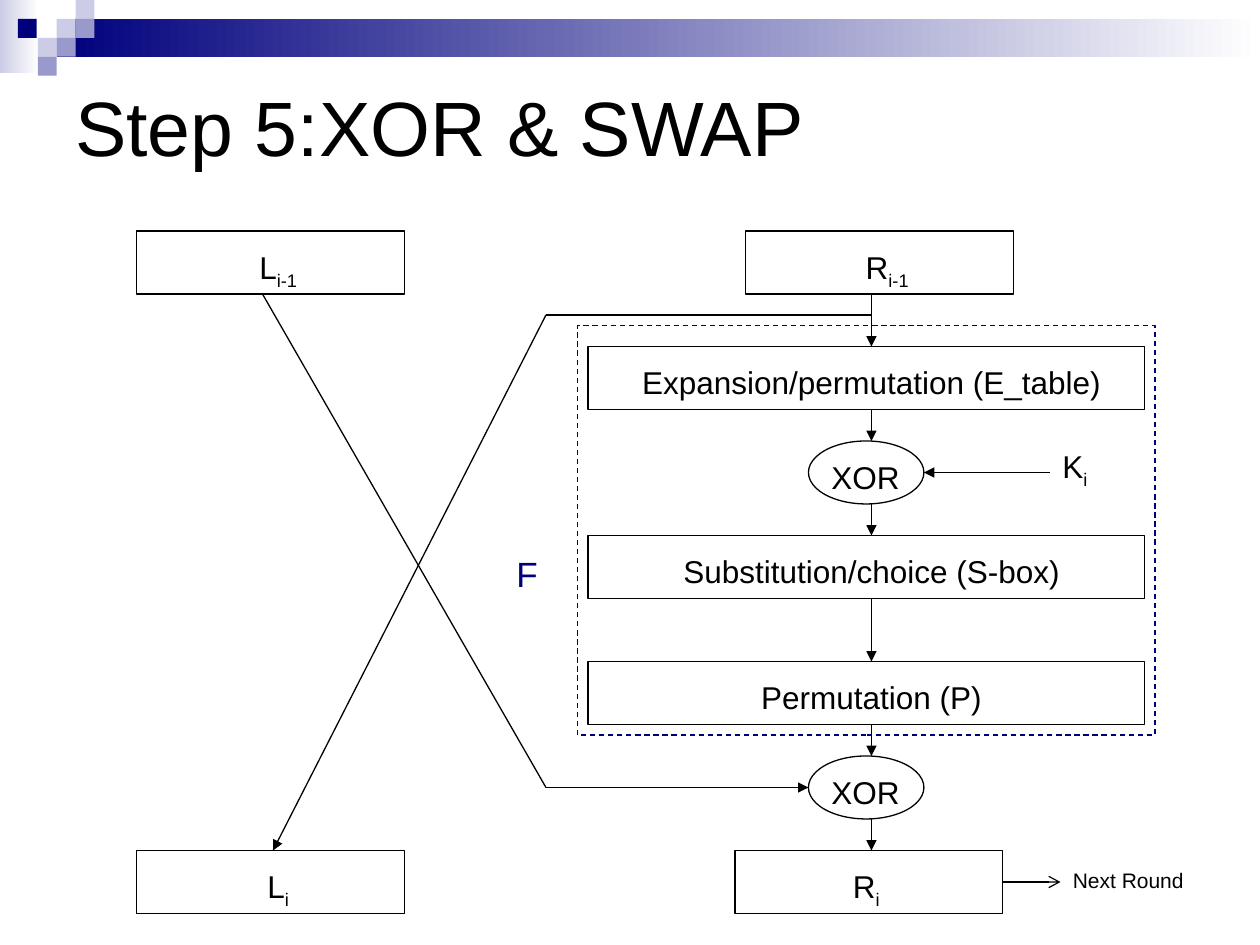
from lxml.etree import SubElement
from pptx import Presentation
from pptx.dml.color import RGBColor
from pptx.enum.dml import MSO_LINE
from pptx.enum.shapes import MSO_CONNECTOR, MSO_SHAPE
from pptx.enum.text import MSO_ANCHOR, MSO_AUTO_SIZE, PP_ALIGN
from pptx.oxml.ns import qn
from pptx.util import Emu, Pt

BLACK = RGBColor(0x00, 0x00, 0x00)
WHITE = RGBColor(0xFF, 0xFF, 0xFF)
NAVY = RGBColor(0x00, 0x00, 0x7D)
LAVENDER = RGBColor(0xCC, 0xCC, 0xE6)
PERIWINKLE = RGBColor(0x99, 0x99, 0xCC)
EMU_PER_PX = 7620  # 120 px to the inch


def px(*lengths):
    return [Emu(length * EMU_PER_PX) for length in lengths]


class DiagramSlide:
    font_name = "Arial"
    line_width = Pt(0.75)

    def __init__(self, slide):
        self.shapes = slide.shapes

    def block(self, x, y, w, h, *colors):
        """Borderless rectangle: one colour is solid, two are a gradient."""
        block = self.shapes.add_shape(MSO_SHAPE.RECTANGLE, *px(x, y, w, h))
        block.shadow.inherit = False
        block.line.fill.background()
        if len(colors) == 1:
            block.fill.solid()
            block.fill.fore_color.rgb = colors[0]
        else:
            block.fill.gradient()
            block.fill.gradient_angle = 0
            for stop, color in zip(block.fill.gradient_stops, colors):
                stop.color.rgb = color

    def outline(self, x, y, w, h, kind=MSO_SHAPE.RECTANGLE, color=BLACK, dash=None):
        outline = self.shapes.add_shape(kind, *px(x, y, w, h))
        outline.shadow.inherit = False
        outline.fill.background()
        outline.line.color.rgb = color
        outline.line.width = self.line_width
        if dash:
            outline.line.dash_style = dash
        return outline

    def text(self, x, y, w, h, words, subscript="", size=18, color=BLACK,
             align=PP_ALIGN.LEFT, anchor=MSO_ANCHOR.TOP, grow=True):
        box = self.shapes.add_textbox(*px(x, y, w, h))
        frame = box.text_frame
        frame.word_wrap = True
        frame.vertical_anchor = anchor
        frame.auto_size = MSO_AUTO_SIZE.SHAPE_TO_FIT_TEXT if grow else MSO_AUTO_SIZE.NONE
        paragraph = frame.paragraphs[0]
        paragraph.alignment = align
        paragraph.font.name = self.font_name
        paragraph.font.size = Pt(size)
        paragraph.font.color.rgb = color
        paragraph.add_run().text = words
        if subscript:
            lowered = paragraph.add_run()
            lowered.text = subscript
            lowered.font._element.set("baseline", "-25000")

    def box(self, x, y, w, words, subscript="", text_dx=10):
        outline = self.outline(x, y, w, 60)
        height = 53 if subscript else 48
        self.text(x + text_dx, y + 10, w // 10 * 10 - (10 if w > 500 else 0), height,
                  words, subscript, align=PP_ALIGN.CENTER)
        return outline

    def xor(self, y):
        self.outline(770, y, 110, 60, MSO_SHAPE.OVAL)
        self.text(780, y + 10, 110, 48, "XOR")

    def line(self, x1, y1, x2, y2, head="triangle"):
        line = self.shapes.add_connector(MSO_CONNECTOR.STRAIGHT, *px(x1, y1, x2, y2))
        line.line.color.rgb = BLACK
        line.line.width = self.line_width
        if head:
            SubElement(line.line._get_or_add_ln(), qn("a:tailEnd"), type=head)
        SubElement(line._element.spPr, qn("a:effectLst"))
        return line


def main():
    presentation = Presentation()
    presentation.slide_width, presentation.slide_height = px(1200, 900)
    slide = DiagramSlide(presentation.slides.add_slide(presentation.slide_layouts[6]))

    # Header band and mosaic
    slide.block(0, 0, 37, 70, LAVENDER, WHITE)
    slide.block(54, 18, 1146, 36, NAVY, WHITE)
    for x, y, color in [(54, 18, LAVENDER), (72, 0, LAVENDER), (72, 18, PERIWINKLE),
                        (36, 36, LAVENDER), (17, 18, NAVY), (54, 36, PERIWINKLE),
                        (36, 54, PERIWINKLE)]:
        slide.block(x, y, 18, 18, color)

    # Title
    slide.text(60, 60, 1080, 120, "Step 5:XOR & SWAP", size=44,
               anchor=MSO_ANCHOR.MIDDLE, grow=False)

    # Round inputs and outputs
    slide.box(130, 220, 255, "L", "i-1")
    slide.box(710, 220, 255, "R", "i-1")
    slide.box(130, 810, 255, "L", "i")
    right_output = slide.box(700, 810, 255, "R", "i", text_dx=0)

    # Stages of F
    for y, stage in [(330, "Expansion/permutation (E_table)"),
                     (510, "Substitution/choice (S-box)"),
                     (630, "Permutation (P)")]:
        slide.box(560, y, 530, stage)
    for y in (420, 720):
        slide.xor(y)

    # Flow down the right half
    for top, bottom in [(280, 330), (390, 420), (480, 510), (570, 630), (690, 720), (780, 810)]:
        slide.line(830, top, 830, bottom)

    # Round key
    slide.line(1000, 450, 880, 450)
    slide.text(1000, 420, 50, 53, "K", "i")

    # Swap of the halves
    slide.line(830, 300, 520, 300, head=None)
    slide.line(520, 300, 260, 810)
    slide.line(250, 280, 520, 750, head=None)
    slide.line(520, 750, 770, 750)

    # Frame of F
    slide.outline(550, 310, 550, 390, color=NAVY, dash=MSO_LINE.DASH)
    slide.text(480, 520, 60, 50, "F", size=20, color=NAVY, grow=False)

    # Next round
    next_round = slide.line(955, 840, 1010, 840, head="arrow")
    next_round.begin_connect(right_output, 3)
    slide.text(1010, 820, 160, 36, "Next Round", size=12)

    presentation.save("out.pptx")


if __name__ == "__main__":
    main()
